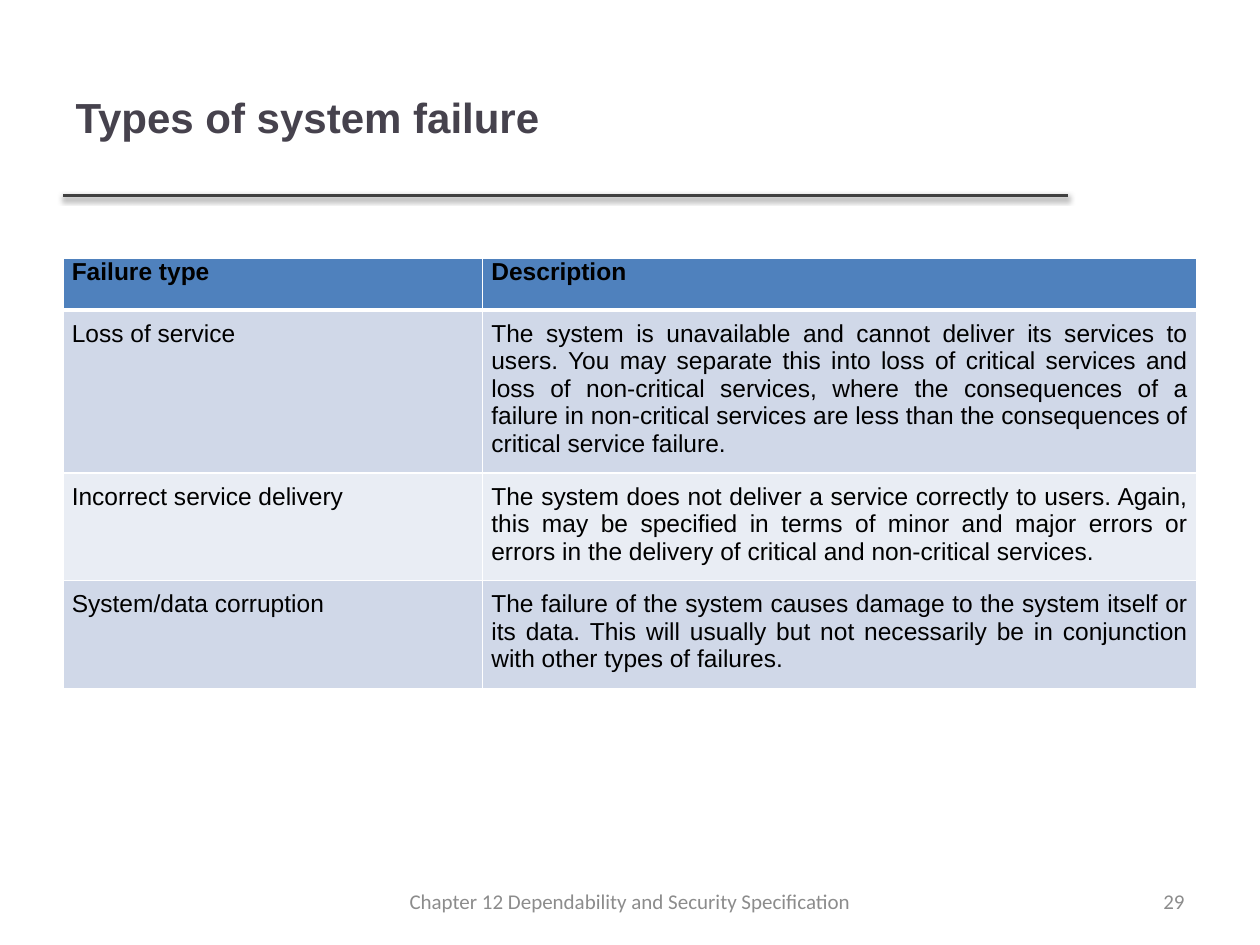
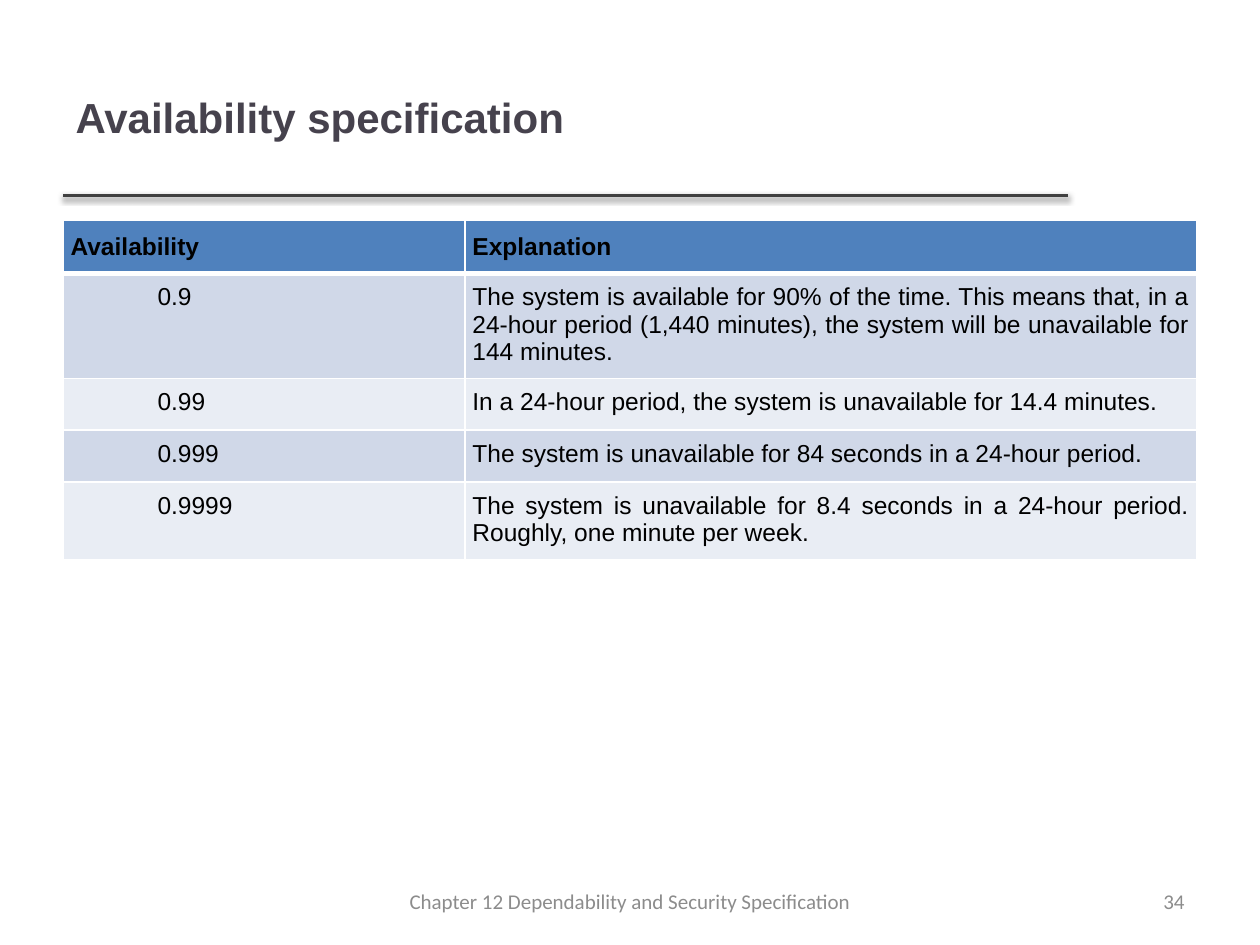
from lxml import etree
from pptx import Presentation
from pptx.dml.color import RGBColor
from pptx.enum.shapes import MSO_CONNECTOR
from pptx.enum.text import MSO_ANCHOR, PP_ALIGN
from pptx.oxml import parse_xml
from pptx.oxml.ns import nsdecls, qn
from pptx.util import Inches, Pt

LINE = MSO_CONNECTOR.STRAIGHT
MIDDLE = MSO_ANCHOR.MIDDLE
LEFT, RIGHT = PP_ALIGN.LEFT, PP_ALIGN.RIGHT
CENTER, JUSTIFY = PP_ALIGN.CENTER, PP_ALIGN.JUSTIFY
COLORS = {"title": "46424D", "rule": "404040", "foot": "8C8C8C", "text": "000000",
          "head": "4F81BD", "odd": "D0D8E8", "even": "E9EDF4", "grid": "FFFFFF"}
FOOTER = "Chapter 12 Dependability and Security Specification"

FAILURES = [
    ("Failure type", "Description"),
    ("Loss of service",
     "The system is unavailable and cannot deliver its services to users. You may "
     "separate this into loss of critical services and loss of non-critical services, "
     "where the consequences of a failure in non-critical services are less than the "
     "consequences of critical service failure."),
    ("Incorrect service delivery",
     "The system does not deliver a service correctly to users. Again, this may be "
     "specified in terms of minor and major errors or errors in the delivery of "
     "critical and non-critical services."),
    ("System/data corruption",
     "The failure of the system causes damage to the system itself or its data. This "
     "will usually but not necessarily be in conjunction with other types of failures."),
]
LEVELS = [
    ("Availability", "Explanation"),
    ("0.9",
     "The system is available for 90% of the time. This means that, in a 24-hour "
     "period (1,440 minutes), the system will be unavailable for 144 minutes."),
    ("0.99", "In a 24-hour period, the system is unavailable for 14.4 minutes."),
    ("0.999", "The system is unavailable for 84 seconds in a 24-hour period."),
    ("0.9999",
     "The system is unavailable for 8.4 seconds in a 24-hour period. Roughly, one "
     "minute per week."),
]


def rgb(name):
    """Return the named colour."""
    return RGBColor.from_string(COLORS[name])


def write(frame, text, size=14, font="Arial", color="text", bold=False, align=LEFT,
          indent=0):
    """Put formatted text in a text frame."""
    frame.word_wrap = True
    para = frame.paragraphs[0]
    para.alignment = align
    if indent:
        props = para._p.get_or_add_pPr()
        props.set("marL", "0")
        props.set("indent", str(Inches(indent)))
    run = para.add_run()
    run.text = text
    run.font.size, run.font.name, run.font.bold = Pt(size), font, bold
    run.font.color.rgb = rgb(color)


def add_title(slide, text, box):
    """Fill the title and rule off its box with a shadowed line."""
    left, top, width, height = [Inches(n) for n in box]
    title = slide.shapes.title
    title.left, title.top, title.width, title.height = left, top, width, height
    title.text_frame.vertical_anchor = MIDDLE
    write(title.text_frame, text, size=24, color="title", bold=True)
    base = top + height
    rule = slide.shapes.add_connector(LINE, left, base, left + width, base)
    rule.line.color.rgb = rgb("rule")
    rule.line.width = Pt(2)
    rule._element.spPr.append(parse_xml(
        f'<a:effectLst {nsdecls("a")}><a:outerShdw blurRad="{Pt(3.1)}" '
        f'dist="{Pt(1.6)}" dir="5400000" rotWithShape="0"><a:srgbClr val="000000">'
        '<a:alpha val="38000"/></a:srgbClr></a:outerShdw></a:effectLst>'))


def add_footer(slide, number, box):
    """Place the chapter name and page number in the footer band."""
    left, top, width, height = box
    part = width * 0.26
    spots = [(FOOTER, left + part, width - 2 * part, CENTER),
             (str(number), left + width - part, part, RIGHT)]
    for text, start, span, align in spots:
        label = slide.shapes.add_textbox(Inches(start), Inches(top), Inches(span),
                                         Inches(height))
        label.text_frame.vertical_anchor = MIDDLE
        write(label.text_frame, text, size=12, font="Calibri", color="foot", align=align)


def edge(cell, base):
    """Draw the four cell borders, with the given weight at the base."""
    props = cell._tc.get_or_add_tcPr()
    for side, weight in zip("LRTB", (1, 1, 1, base)):
        line = etree.SubElement(props, qn(f"a:ln{side}"), w=str(Pt(weight)))
        fill = etree.SubElement(line, qn("a:solidFill"))
        etree.SubElement(fill, qn("a:srgbClr"), val=COLORS["grid"])


def add_grid(slide, rows, box, split, heights, side, head_pad, body_pad, first):
    """Build a two-column table with a header and banded rows."""
    left, top, width = box
    table = slide.shapes.add_table(len(rows), 2, Inches(left), Inches(top),
                                   Inches(width), Inches(sum(heights))).table
    for col, span in zip(table.columns, (split, width - split)):
        col.width = Inches(span)
    for r, (texts, height) in enumerate(zip(rows, heights)):
        table.rows[r].height = Inches(height)
        head = r == 0
        shade = "head" if head else "odd" if r % 2 else "even"
        above, below = head_pad if head else body_pad
        for c, text in enumerate(texts):
            cell = table.cell(r, c)
            cell.margin_left = cell.margin_right = Inches(side)
            cell.margin_top, cell.margin_bottom = Inches(above), Inches(below)
            edge(cell, 3 if head else 1)
            cell.fill.solid()
            cell.fill.fore_color.rgb = rgb(shade)
            form = {"align": JUSTIFY} if c or head else first
            write(cell.text_frame, text, bold=head, **form)


def add_page(deck, title, number, rows, top, **form):
    """Add one slide with title, table and footer."""
    slide = deck.slides.add_slide(deck.slide_layouts[5])
    add_title(slide, title, (0.5, 0.3, 7.98, 1.25))
    add_grid(slide, rows, (0.5, top, 9), **form)
    add_footer(slide, number, (0.5, 6.95, 9, 0.4))


def main():
    """Build and save the deck."""
    deck = Presentation()
    deck.slide_width, deck.slide_height = Inches(10), Inches(7.5)
    add_page(deck, "Types of system failure", 29, FAILURES, 2.05, split=3.33,
             heights=(0.41, 1.29, 0.85, 0.85), side=0.07, head_pad=(0, 0),
             body_pad=(0.08, 0.12), first={"align": JUSTIFY})
    add_page(deck, "Availability specification", 34, LEVELS, 1.75, split=3.19,
             heights=(0.41, 0.83, 0.41, 0.41, 0.62), side=0.06, head_pad=(0.1, 0.1),
             body_pad=(0.08, 0.1), first={"indent": 0.69})
    deck.save("out.pptx")


if __name__ == "__main__":
    main()
